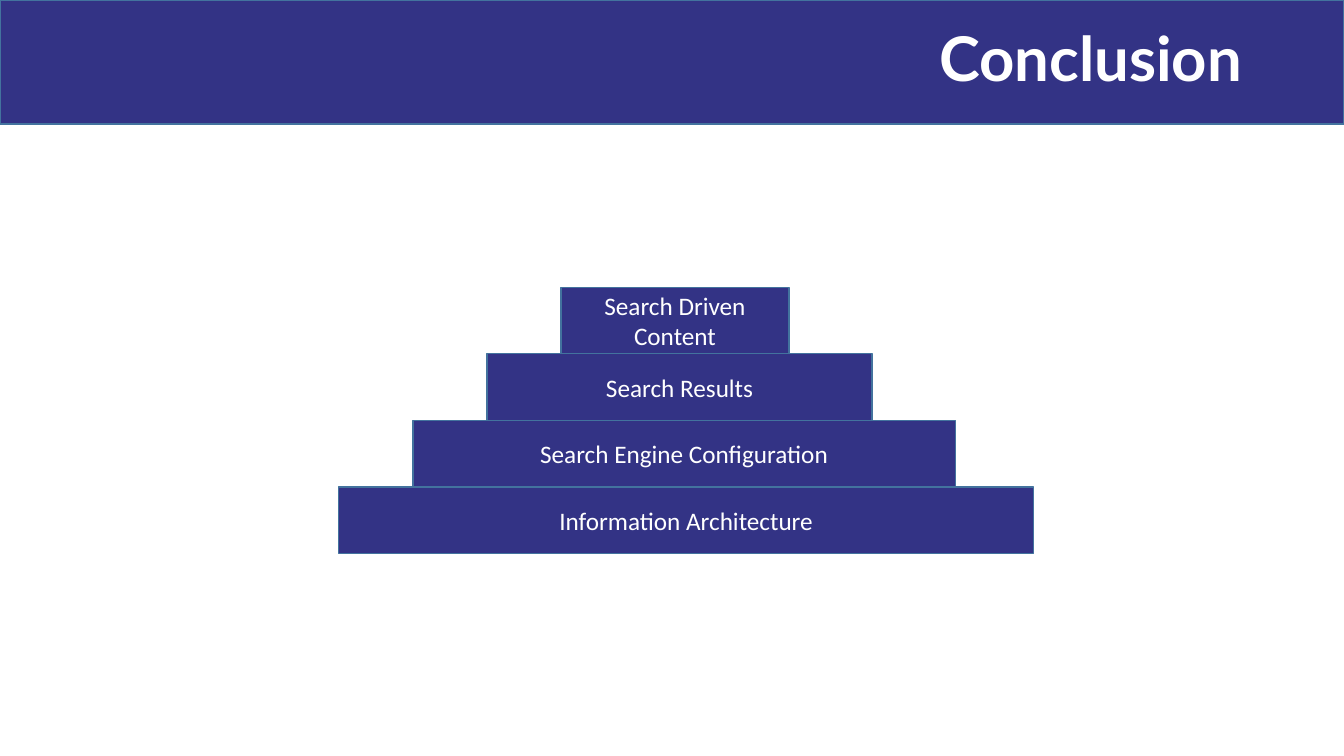
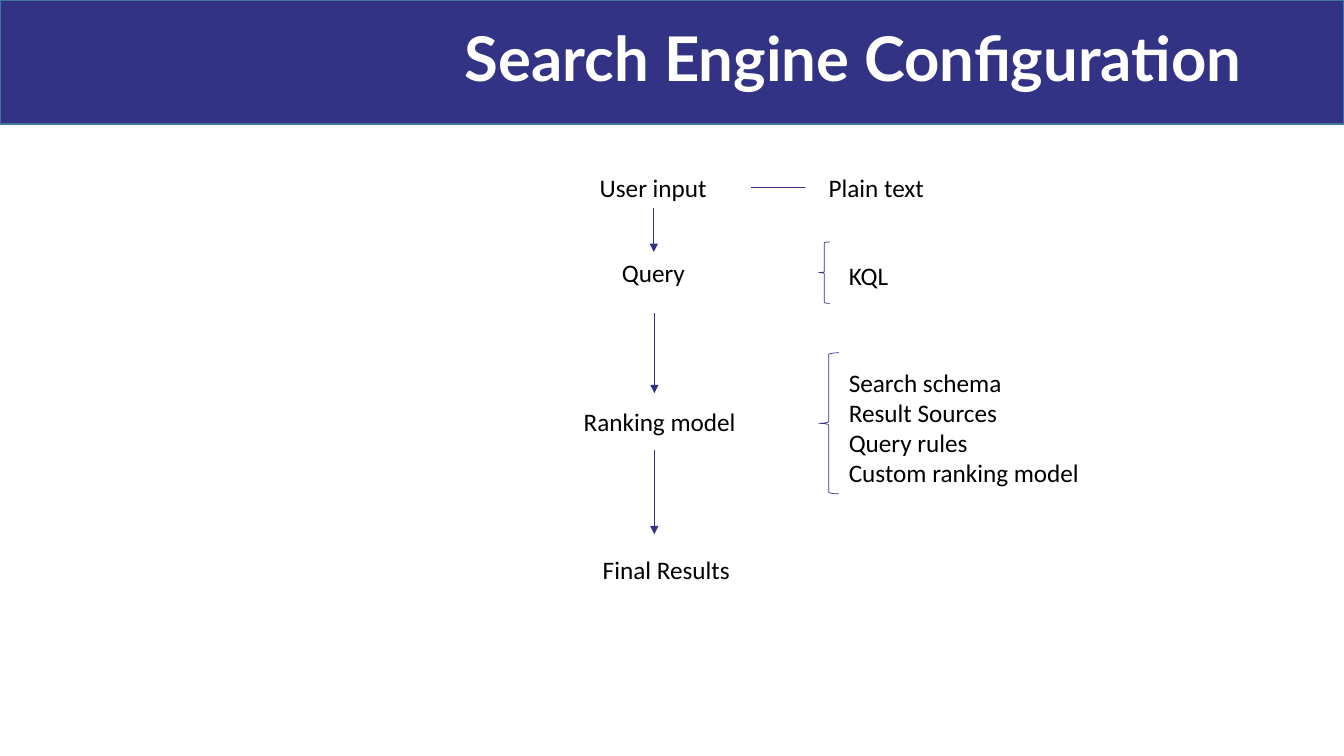
from dataclasses import dataclass

from pptx import Presentation
from pptx.dml.color import RGBColor
from pptx.enum import shapes, text
from pptx.oxml.ns import qn
from pptx.util import Inches, Pt
from lxml import etree


@dataclass(frozen=True)
class Theme:
    navy: RGBColor = RGBColor(0x33, 0x33, 0x85)
    edge: RGBColor = RGBColor(0x43, 0x73, 0x9E)
    white: RGBColor = RGBColor(0xFF, 0xFF, 0xFF)
    black: RGBColor = RGBColor(0, 0, 0)
    title_font: str = "Lato"
    body_font: str = "Calibri"
    title_size: int = 44
    body_size: int = 18


theme = Theme()
prs = Presentation()
prs.slide_width, prs.slide_height = Inches(13.33), Inches(7.5)


def write(sp, words, color, align, font=theme.body_font, size=theme.body_size, bold=False):
    """Fill a shape with text, one paragraph per line, in one style."""
    tf = sp.text_frame
    tf.text = words
    for p in tf.paragraphs:
        p.alignment = align
        for r in p.runs:
            r.font.name, r.font.size, r.font.bold = font, Pt(size), bold
            r.font.color.rgb = color
    return tf


def add_box(s, x, y, w, h):
    """Add a navy rectangle with a thin blue edge."""
    sp = s.shapes.add_shape(shapes.MSO_SHAPE.RECTANGLE, Inches(x), Inches(y), Inches(w), Inches(h))
    sp.shadow.inherit = False
    sp.fill.solid()
    sp.fill.fore_color.rgb = theme.navy
    sp.line.color.rgb = theme.edge
    sp.line.width = Pt(1)
    return sp


# Both slides: band and title
slides = []
for title in ("Conclusion", "Search Engine Configuration"):
    s = prs.slides.add_slide(prs.slide_layouts[6])
    add_box(s, 0, 0, 13.33, 1.23)
    sp = s.shapes.add_textbox(Inches(0.92), Inches(0.03), Inches(11.5), Inches(1.16))
    tf = write(sp, title, theme.white, text.PP_ALIGN.RIGHT,
               theme.title_font, theme.title_size, bold=True)
    tf.word_wrap = True
    tf.vertical_anchor = text.MSO_ANCHOR.MIDDLE
    tf.paragraphs[0].line_spacing = 0.9
    slides.append(s)
conclusion, configuration = slides

# Conclusion: stepped pyramid, from the base up
tiers = (
    ("Information Architecture", 6.89),
    ("Search Engine Configuration", 5.38),
    ("Search Results", 3.82),
    ("Search Driven Content", 2.26),
)
tier_height = 0.66
for i, (label, width) in enumerate(tiers):
    sp = add_box(conclusion, 3.36 + 0.735 * i, 4.83 - tier_height * i, width, tier_height)
    tf = write(sp, label, theme.white, text.PP_ALIGN.CENTER)
    tf.word_wrap = True
    tf.vertical_anchor = text.MSO_ANCHOR.MIDDLE

# Search Engine Configuration: steps on the left, notes on the right
labels = (
    ("User input", 5.85, 1.66, 1.27, 0.4),
    ("Query", 6.07, 2.5, 0.83, 0.4),
    ("Ranking model", 5.69, 3.98, 2.43, 0.4),
    ("Final Results", 5.88, 5.45, 1.57, 0.4),
    ("Plain text", 8.12, 1.66, 1.16, 0.4),
    ("KQL", 8.32, 2.53, 0.6, 0.4),
    ("Search schema\nResult Sources\nQuery rules\nCustom ranking model", 8.32, 3.59, 2.51, 1.31),
)
boxes = {}
for words, x, y, w, h in labels:
    sp = configuration.shapes.add_textbox(Inches(x), Inches(y), Inches(w), Inches(h))
    tf = write(sp, words, theme.black, text.PP_ALIGN.LEFT)
    # The two wide step boxes wrap; the others fit their text
    tf.word_wrap = words in ("Ranking model", "Final Results")
    tf.auto_size = text.MSO_AUTO_SIZE.SHAPE_TO_FIT_TEXT
    boxes[words] = sp

for y, w, h in ((2.4, 0.11, 0.61), (3.5, 0.2, 1.4)):
    brace = configuration.shapes.add_shape(
        shapes.MSO_SHAPE.LEFT_BRACE, Inches(8.12), Inches(y), Inches(w), Inches(h))
    brace.shadow.inherit = False
    brace.fill.background()
    brace.line.color.rgb = theme.navy
    brace.line.width = Pt(0.5)

axis = 6.49
lines = (
    (axis, 2.07, axis, 2.5, ("User input", "Query")),
    (axis, 3.11, axis, 3.9, None),
    (axis, 4.46, axis, 5.3, None),
    (7.45, 1.86, 7.98, 1.86, None),
)
for x1, y1, x2, y2, joined in lines:
    line = configuration.shapes.add_connector(
        shapes.MSO_CONNECTOR.STRAIGHT, Inches(x1), Inches(y1), Inches(x2), Inches(y2))
    line.line.color.rgb = theme.navy
    line.line.width = Pt(0.5)
    if joined:
        line.begin_connect(boxes[joined[0]], 2)
        line.end_connect(boxes[joined[1]], 0)
    if x1 == x2:
        etree.SubElement(line.line._get_or_add_ln(), qn("a:tailEnd"), type="triangle")
    etree.SubElement(line._element.spPr, qn("a:effectLst"))

prs.save("out.pptx")
